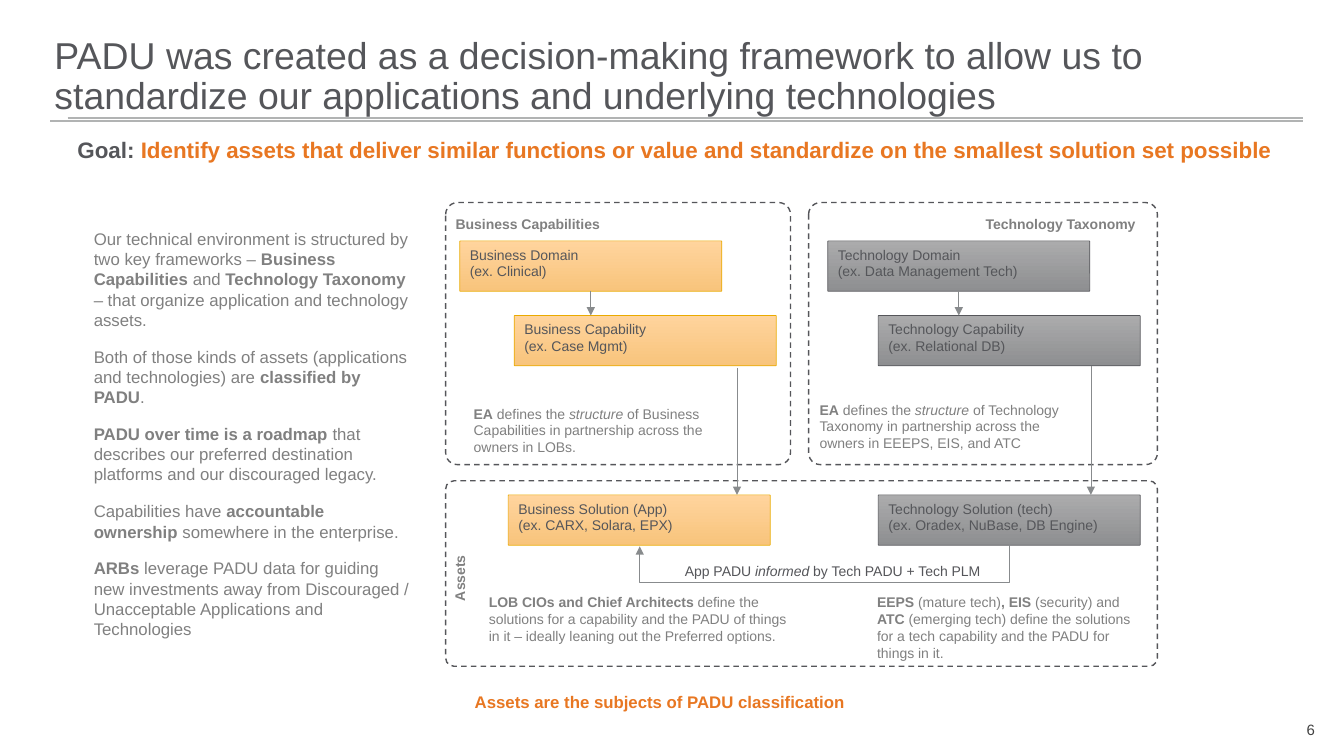
from lxml import etree
from pptx import Presentation
from pptx.dml.color import RGBColor
from pptx.enum.dml import MSO_LINE
from pptx.enum.shapes import MSO_CONNECTOR, MSO_SHAPE
from pptx.enum.text import MSO_ANCHOR, MSO_AUTO_SIZE, PP_ALIGN
from pptx.oxml.ns import qn
from pptx.util import Inches, Pt

STRAIGHT, ELBOW = MSO_CONNECTOR.STRAIGHT, MSO_CONNECTOR.ELBOW
ROUNDED = MSO_SHAPE.ROUNDED_RECTANGLE
DASH = MSO_LINE.DASH
LEFT, CENTER, RIGHT = PP_ALIGN.LEFT, PP_ALIGN.CENTER, PP_ALIGN.RIGHT
TOP, MIDDLE, BOTTOM = MSO_ANCHOR.TOP, MSO_ANCHOR.MIDDLE, MSO_ANCHOR.BOTTOM

INK = RGBColor(0x55, 0x56, 0x5A)
GRAY = RGBColor(0x80, 0x80, 0x80)
ORANGE = RGBColor(0xE8, 0x77, 0x22)
RULE = RGBColor(0xB1, 0xB3, 0xB3)
ARROW = RGBColor(0x88, 0x8B, 0x8D)
NUMBER = RGBColor(0x42, 0x42, 0x42)
# Gradient top, gradient bottom, outline
BUSINESS = (RGBColor(0xFF, 0xD4, 0x9D), RGBColor(0xF8, 0xC4, 0x7C), RGBColor(0xEA, 0xAA, 0x00))
TECHNOLOGY = (RGBColor(0xAB, 0xAB, 0xAC), RGBColor(0x8E, 0x8F, 0x91), INK)

CARD_W, CARD_H = 2.6, 0.5


def write(frame, *paragraphs, size=10, color=GRAY, accent=None, bold=False, align=LEFT,
          anchor=TOP, inset=True, before=0, after=0, spacing=1.0):
    """Fill a text frame; *stars* mark bold (accent coloured) words, _underscores_ italic ones."""
    frame.word_wrap = True
    frame.auto_size = MSO_AUTO_SIZE.NONE
    frame.vertical_anchor = anchor
    frame.margin_left = frame.margin_right = Inches(0.1 if inset else 0)
    frame.margin_top = frame.margin_bottom = Inches(0.05 if inset else 0)
    for index, text in enumerate(paragraphs):
        paragraph = frame.add_paragraph() if index else frame.paragraphs[0]
        paragraph.alignment = align
        paragraph.line_spacing = spacing
        paragraph.space_before, paragraph.space_after = Pt(before), Pt(after)
        for i, strong in enumerate(text.split("*")):
            for j, words in enumerate(strong.split("_")):
                if not words:
                    continue
                run = paragraph.add_run()
                run.text = words
                font = run.font
                font.name, font.size = "Arial", Pt(size)
                font.bold, font.italic = bold or i % 2 == 1, j % 2 == 1
                font.color.rgb = accent if accent and i % 2 else color


def place(shape, x, y, w, h):
    shape.left, shape.top, shape.width, shape.height = map(Inches, (x, y, w, h))


def label(slide, box, *paragraphs, **style):
    text_box = slide.shapes.add_textbox(*map(Inches, box))
    write(text_box.text_frame, *paragraphs, **style)
    return text_box


def connect(slide, start, end, color=ARROW, width=0.5, arrow=True, kind=STRAIGHT):
    line = slide.shapes.add_connector(kind, *map(Inches, (*start, *end)))
    line.line.color.rgb = color
    line.line.width = Pt(width)
    if arrow:
        etree.SubElement(line.line._get_or_add_ln(), qn("a:tailEnd"), type="triangle")
    etree.SubElement(line._element.spPr, qn("a:effectLst"))
    return line


def rounded(slide, x, y, w, h, corner):
    shape = slide.shapes.add_shape(ROUNDED, *map(Inches, (x, y, w, h)))
    shape.adjustments[0] = corner
    shape.shadow.inherit = False
    return shape


def frame_panel(slide, x, y, w, h):
    panel = rounded(slide, x, y, w, h, 0.045)
    panel.fill.background()
    panel.line.color.rgb = INK
    panel.line.width = Pt(1)
    panel.line.dash_style = DASH


def card(slide, x, y, name, example, palette):
    shape = rounded(slide, x, y, CARD_W, CARD_H, 0.016)
    shape.fill.gradient()
    shape.fill.gradient_angle = 270
    for stop, position, color in zip(shape.fill.gradient_stops, (0, 1), palette):
        stop.position, stop.color.rgb = position, color
    shape.line.color.rgb = palette[2]
    shape.line.width = Pt(0.5)
    write(shape.text_frame, name, f"(ex. {example})", color=INK)


def header(slide, x, y, w, h):
    # Double rule, title and goal
    connect(slide, (x, y + 1.2), (x + w, y + 1.2), RULE, 1, arrow=False)
    connect(slide, (x + 0.17, y + 1.17), (x + w, y + 1.17), RULE, 1, arrow=False)
    title = slide.shapes.title
    place(title, x + 0.04, y, w - 0.04, 1.17)
    write(title.text_frame,
          "PADU was created as a decision-making framework to allow us to "
          "standardize our applications and underlying technologies",
          size=26.7, color=INK, anchor=BOTTOM, inset=False, spacing=0.9)
    label(slide, (x + 0.17, y + h - 0.37, w - 0.21, 0.37),
          "Goal: *Identify assets that deliver similar functions or value and "
          "standardize on the smallest solution set possible*",
          size=16, color=INK, accent=ORANGE, bold=True)


def narrative(slide, x, y, w, h):
    body = slide.placeholders[1]
    place(body, x, y, w, h)
    write(body.text_frame,
          "Our technical environment is structured by two key frameworks – *Business "
          "Capabilities *and* Technology Taxonomy *– that organize application and "
          "technology assets.",
          "Both of those kinds of assets (applications and technologies) are "
          "*classified by PADU*.",
          "*PADU over time is a roadmap *that describes our preferred destination "
          "platforms and our discouraged legacy.",
          "Capabilities have *accountable ownership *somewhere in the enterprise.",
          "*ARBs* leverage PADU data for guiding new investments away from "
          "Discouraged / Unacceptable Applications and Technologies",
          size=12, inset=False, before=3, after=9)
    for paragraph in body.text_frame.paragraphs:
        properties = paragraph._p.get_or_add_pPr()
        properties.set("marL", "0")
        properties.set("indent", "0")
        etree.SubElement(properties, qn("a:buNone"))


def framework(slide, x, y, w, h, cards, palette, heading, heading_box, align, note, note_box):
    """Dashed panel with a domain card leading to a capability card."""
    frame_panel(slide, x, y, w, h)
    (domain_dx, *domain), (capability_dx, *capability) = cards
    domain_y, capability_y = y + 0.38, y + 1.12
    card(slide, x + domain_dx, domain_y, *domain, palette)
    card(slide, x + capability_dx, capability_y, *capability, palette)
    middle = x + domain_dx + CARD_W / 2
    connect(slide, (middle, domain_y + CARD_H), (middle, capability_y))
    for (dx, dy, box_w, box_h), text, style in (
            (heading_box, heading, {"bold": True, "align": align}),
            (note_box, note, {})):
        label(slide, (x + dx, y + dy, box_w, box_h), text, **style)


def assets(slide, x, y, w, h):
    frame_panel(slide, x, y, w, h)
    card_y = y + 0.14
    card(slide, x + 0.62, card_y, "Business Solution (App)", "CARX, Solara, EPX", BUSINESS)
    card(slide, x + 4.29, card_y, "Technology Solution (tech)",
         "Oradex, NuBase, DB Engine", TECHNOLOGY)

    # Links from the capabilities above
    connect(slide, (x + 2.89, y - 1.12), (x + 2.89, card_y))
    connect(slide, (x + 6.4, y - 1.14), (x + 6.4, card_y))

    # Feedback from technology to business: a U turned on its side, 0.38 deep
    span, rise, depth = 3.67, 0.02, 0.38
    center_x, center_y = x + 3.76, y + 0.64
    feedback = connect(slide, (center_x - rise / 2, center_y - span / 2),
                       (center_x + rise / 2, center_y + span / 2), kind=ELBOW)
    feedback._element.spPr.xfrm.set("rot", str(90 * 60000))
    geometry = feedback._element.spPr.find(qn("a:prstGeom"))
    guides = geometry.get_or_add_avLst()
    etree.SubElement(guides, qn("a:gd"), name="adj1",
                     fmla=f"val {round(depth / rise * 100000)}")
    label(slide, (x + 1.81, y + 0.76, 3.63, 0.27),
          "App PADU _informed_ by Tech PADU + Tech PLM ", color=INK, align=RIGHT)

    # Side heading and ownership notes
    side = label(slide, (x - 0.19, y + 0.83, 0.66, 0.27), "Assets", bold=True, align=CENTER)
    side.rotation = 270
    label(slide, (x + 0.33, y + 1.07, 3.24, 0.61),
          "*LOB CIOs and Chief Architects *define the solutions for a capability and the "
          "PADU of things in it – ideally leaning out the Preferred options.")
    label(slide, (x + 4.18, y + 1.07, 2.85, 0.77),
          "*EEPS* (mature tech)*, EIS *(security) and* ATC *(emerging tech) define the "
          "solutions for a tech capability and the PADU for things in it.")


def footer(slide, x, y, w, h):
    label(slide, (x, y, 4.95, 0.3), "Assets are the subjects of PADU classification",
          size=12, color=ORANGE, bold=True)
    label(slide, (x + w - 0.15, y + h - 0.22, 0.15, 0.22), "6",
          size=10.7, color=NUMBER, anchor=MIDDLE, inset=False)


def main():
    deck = Presentation()
    deck.slide_width, deck.slide_height = Inches(13.33), Inches(7.5)
    slide = deck.slides.add_slide(deck.slide_layouts[1])
    header(slide, 0.5, 0, 12.42, 1.67)
    narrative(slide, 0.93, 2.27, 3.14, 4.12)
    framework(slide, 4.42, 2.01, 3.42, 2.6,
              ((0.14, "Business Domain", "Clinical"),
               (0.68, "Business Capability", "Case Mgmt")), BUSINESS,
              "Business Capabilities", (0, 0.08, 3.06, 0.27), LEFT,
              "*EA* defines the _structure_ of Business Capabilities in partnership "
              "across the owners in LOBs.", (0.18, 1.96, 2.56, 0.61))
    framework(slide, 8.02, 2.01, 3.46, 2.6,
              ((0.19, "Technology Domain", "Data Management Tech"),
               (0.69, "Technology Capability", "Relational DB")), TECHNOLOGY,
              "Technology Taxonomy", (0.78, 0.08, 2.56, 0.27), RIGHT,
              "*EA* defines the _structure_ of Technology Taxonomy in partnership "
              "across the owners in EEEPS, EIS, and ATC", (0.01, 1.92, 2.82, 0.61))
    assets(slide, 4.42, 4.77, 7.06, 1.84)
    footer(slide, 4.61, 6.81, 8.5, 0.54)
    deck.save("out.pptx")


if __name__ == "__main__":
    main()
